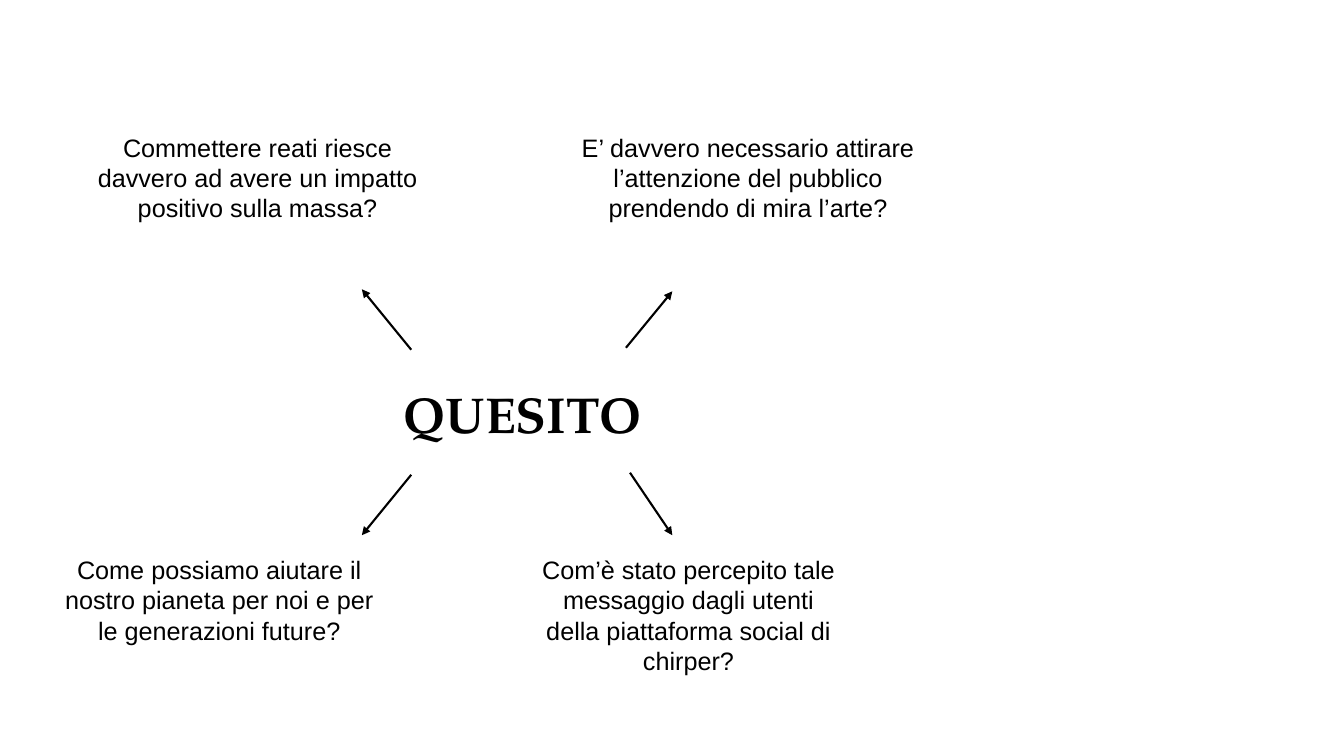
from dataclasses import dataclass

from lxml.etree import SubElement
from pptx import Presentation
from pptx.dml.color import RGBColor
from pptx.enum.shapes import MSO_CONNECTOR_TYPE as Connector
from pptx.enum.text import MSO_AUTO_SIZE as AutoSize, PP_ALIGN as Align
from pptx.oxml.ns import qn
from pptx.util import Inches, Pt


@dataclass(frozen=True)
class Theme:
    ink: RGBColor = RGBColor(0, 0, 0)
    paper: RGBColor = RGBColor(255, 255, 255)
    heading_font: str = "TeX Gyre Pagella"
    body_font: str = "Arial"
    heading_size: int = 36
    body_size: int = 18
    arrow_width: float = 1.5


class QuestionMap:
    """Draws a central topic with arrows to questions on a 40 by 30 grid."""

    COLUMNS, ROWS = 40, 30

    def __init__(self, deck, theme):
        self.theme = theme
        self.column = deck.slide_width / self.COLUMNS
        self.row = deck.slide_height / self.ROWS
        self.slide = deck.slides.add_slide(deck.slide_layouts[6])
        backdrop = self.slide.background.fill
        backdrop.solid()
        backdrop.fore_color.rgb = theme.paper

    def place(self, column, row):
        return round(column * self.column), round(row * self.row)

    def text(self, wording, column, row, columns, rows, **font_format):
        box = self.slide.shapes.add_textbox(
            *self.place(column, row), *self.place(columns, rows))
        frame = box.text_frame
        frame.word_wrap = True
        frame.auto_size = AutoSize.SHAPE_TO_FIT_TEXT
        paragraph = frame.paragraphs[0]
        paragraph.alignment = Align.CENTER
        run = paragraph.add_run()
        run.text = wording
        run.font.color.rgb = self.theme.ink
        for attribute, value in font_format.items():
            setattr(run.font, attribute, value)

    def topic(self, wording, *area):
        self.text(wording, *area, name=self.theme.heading_font,
                  size=Pt(self.theme.heading_size), bold=True)

    def question(self, wording, *area):
        self.text(wording, *area, name=self.theme.body_font,
                  size=Pt(self.theme.body_size), bold=False)

    def arrow(self, start, end):
        connector = self.slide.shapes.add_connector(
            Connector.STRAIGHT, *self.place(*start), *self.place(*end))
        connector.line.color.rgb = self.theme.ink
        connector.line.width = Pt(self.theme.arrow_width)
        SubElement(connector.line._get_or_add_ln(), qn("a:tailEnd"), type="triangle")
        SubElement(connector._element.spPr, qn("a:effectLst"))


UPPER_ROW, LOWER_ROW = 5.04, 21.8

QUESTIONS = [
    ("E’ davvero necessario attirare l’attenzione del pubblico "
     "prendendo di mira l’arte?", 16.59, UPPER_ROW, 11.34, 5.24),
    ("Commettere reati riesce davvero ad avere un impatto "
     "positivo sulla massa?", 2.43, UPPER_ROW, 10.47, 5.24),
    ("Come possiamo aiutare il nostro pianeta per noi e per "
     "le generazioni future?", 1.56, LOWER_ROW, 9.93, 5.24),
    ("Com’è stato percepito tale messaggio dagli utenti "
     "della piattaforma social di chirper?", 15.66, LOWER_ROW, 9.66, 6.48),
]

ARROWS = [
    ((12.24, 13.88), (10.77, 11.48)),
    ((18.63, 13.8), (20.01, 11.56)),
    ((12.24, 18.84), (10.77, 21.24)),
    ((18.75, 18.76), (20.01, 21.24)),
]


def main():
    deck = Presentation()
    deck.slide_width, deck.slide_height = Inches(13.33), Inches(7.5)
    question_map = QuestionMap(deck, Theme())
    question_map.topic("QUESITO", 11.1, 15, 8.91, 3.76)
    for question in QUESTIONS:
        question_map.question(*question)
    for start, end in ARROWS:
        question_map.arrow(start, end)
    deck.save("out.pptx")


if __name__ == "__main__":
    main()
